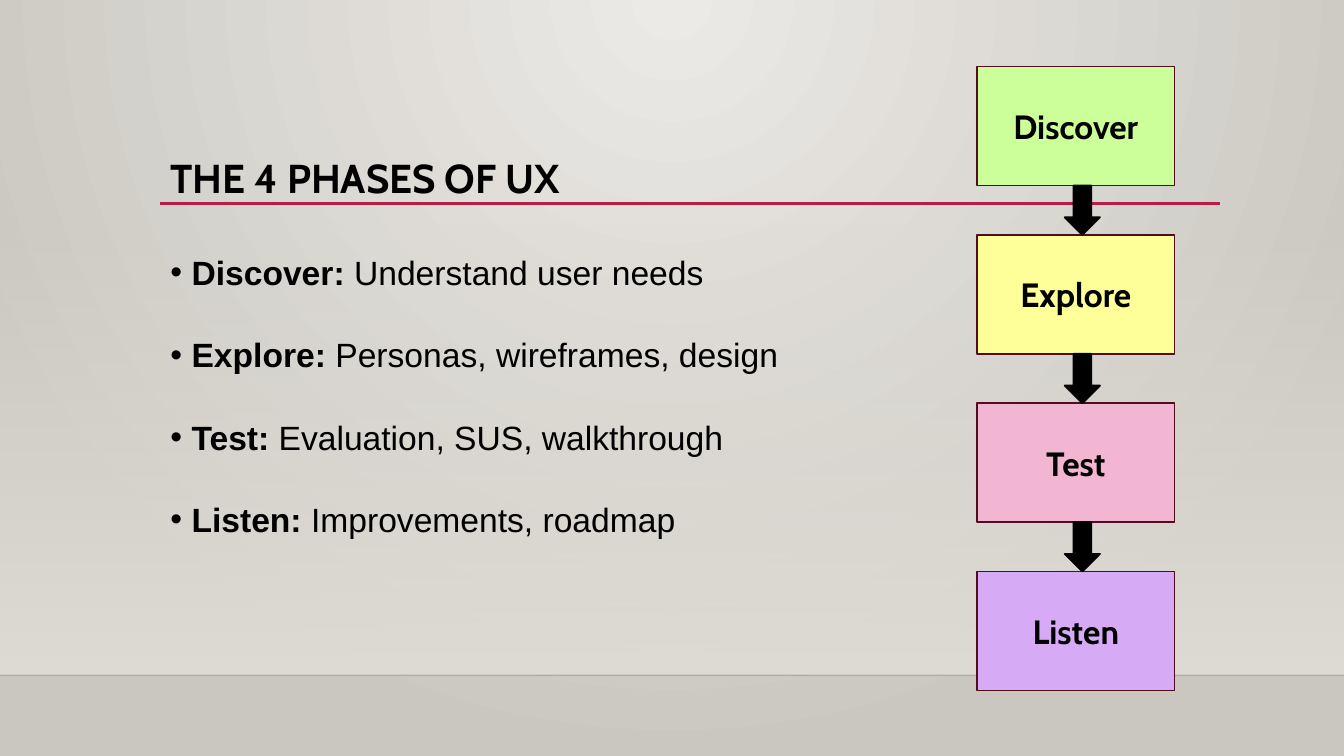
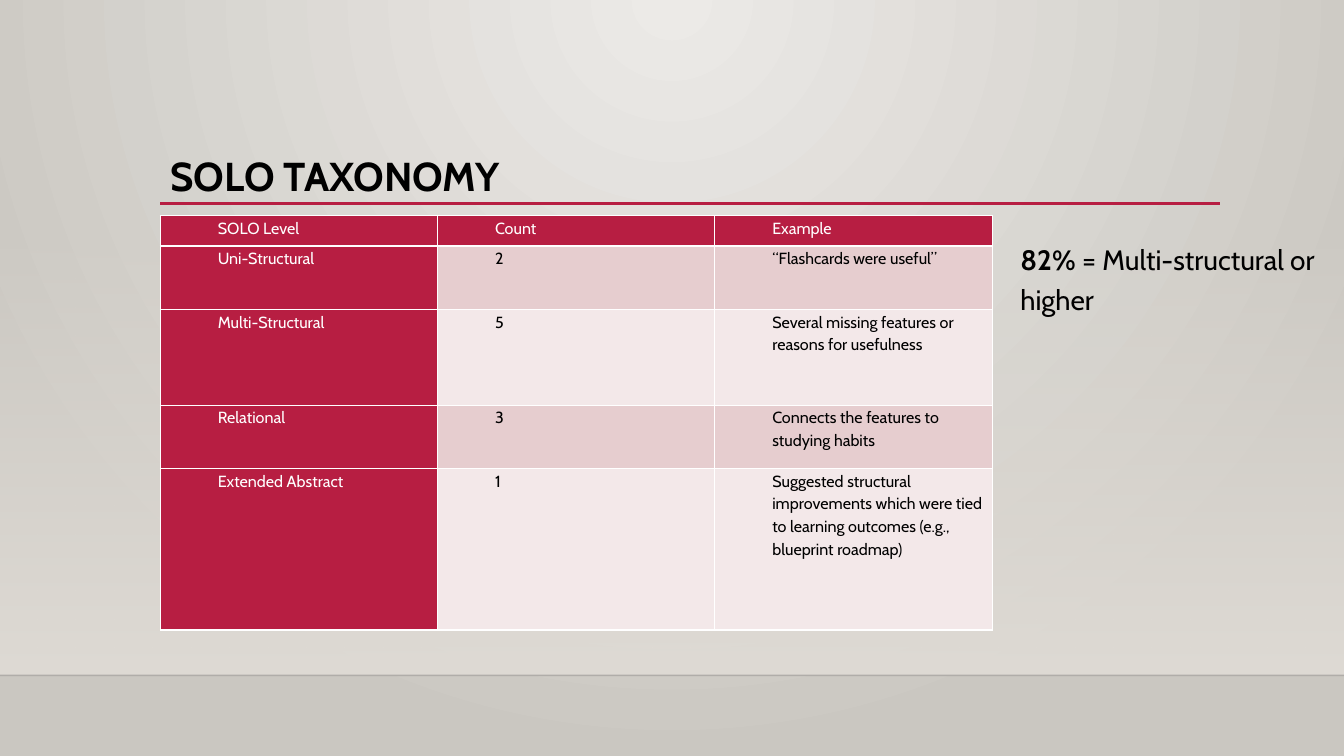
import pptx
import pptx.dml.color
import pptx.enum.shapes
import pptx.enum.text
import pptx.oxml
import pptx.oxml.ns
import pptx.util
from pptx.util import Inches, Pt

SHAPES = pptx.enum.shapes.MSO_SHAPE
ANCHOR = pptx.enum.text.MSO_ANCHOR
ALIGN = pptx.enum.text.PP_ALIGN

WIDTH, HEIGHT = 13.33, 7.5
LEFT = 1.59
FLOOR_TOP = 6.7
FONT = "Cabin"
BLACK, WHITE, CRIMSON, MAROON = "000000", "FFFFFF", "B71E42", "500D1D"
BACKDROP = ("ECEAE7", "CAC7C1")
WALL = "DFDBD5"
BANDS = ("E6CDCF", "F3E8E9")

PHASES = [
    ("Discover", "Understand user needs", "CCFF99"),
    ("Explore", "Personas, wireframes, design", "FFFF99"),
    ("Test", "Evaluation, SUS, walkthrough", "F2B5D2"),
    ("Listen", "Improvements, roadmap", "D7AAF6"),
]
BOX_LEFT, BOX_TOP, BOX_WIDTH, BOX_HEIGHT, BOX_PITCH = 9.69, 0.66, 1.96, 1.18, 1.67
ARROW_LEFT, ARROW_WIDTH = 10.56, 0.35

SOLO_LEVELS = [
    ("SOLO Level", "Count", "Example"),
    ("Uni-Structural", "2", "“Flashcards were useful”"),
    ("Multi-Structural", "5", "Several missing features or reasons for usefulness"),
    ("Relational", "3", "Connects the features to studying habits"),
    ("Extended Abstract", "1", "Suggested structural improvements which were tied "
     "to learning outcomes (e.g., blueprint roadmap)"),
]
ROW_HEIGHTS = (0.3, 0.63, 0.95, 0.63, 1.6)
COLUMN_WIDTH = 2.75


def rgb(value):
    return pptx.dml.color.RGBColor.from_string(value)


def add_xml(parent, tag, **attributes):
    child = pptx.oxml.parse_xml(f"<a:{tag} {pptx.oxml.ns.nsdecls('a')}/>")
    for name, value in attributes.items():
        child.set(name, str(value))
    parent.append(child)
    return child


def set_alpha(element, percent):
    """Make the first colour inside the element partly transparent."""
    color = next(element.iter(pptx.oxml.ns.qn("a:srgbClr")))
    add_xml(color, "alpha", val=percent * 1000)


def place(shape, left, top, width, height):
    shape.left, shape.top = Inches(left), Inches(top)
    shape.width, shape.height = Inches(width), Inches(height)


def add_run(paragraph, text, size, color=BLACK, bold=False, font=FONT):
    run = paragraph.add_run()
    run.text = text
    run.font.name, run.font.size, run.font.bold = font, Pt(size), bold
    run.font.color.rgb = rgb(color)


def set_indent(paragraph, left, first=0):
    properties = paragraph._p.get_or_add_pPr()
    properties.set("marL", str(Inches(left)))
    properties.set("indent", str(Inches(first)))
    return properties


def add_block(shapes, preset, bounds, fill, line):
    shape = shapes.add_shape(preset, *(Inches(value) for value in bounds))
    shape.shadow.inherit = False
    shape.fill.solid()
    shape.fill.fore_color.rgb = rgb(fill)
    shape.line.color.rgb = rgb(line)
    shape.line.width = Pt(1.25)
    return shape


def add_rule(shapes, left, right, top, color, width):
    rule = shapes.add_connector(pptx.enum.shapes.MSO_CONNECTOR.STRAIGHT,
                                Inches(left), Inches(top), Inches(right), Inches(top))
    rule.line.color.rgb = rgb(color)
    rule.line.width = Pt(width)
    add_xml(rule.element.spPr, "effectLst")
    return rule


def set_gradient(fill, colors):
    fill.gradient()
    for stop, color in zip(fill.gradient_stops, colors):
        stop.color.rgb = rgb(color)


def decorate_master(master, slide):
    """Draw the shared scenery on a slide, then move it to the master."""
    set_gradient(master.background.fill, BACKDROP)
    gradient = next(master.element.iter(pptx.oxml.ns.qn("a:gradFill")))
    gradient.remove(gradient.find(pptx.oxml.ns.qn("a:lin")))
    circle = add_xml(gradient, "path", path="circle")
    add_xml(circle, "fillToRect", l=43000, t=0, r=43000, b=100000)

    wall_top = 2.21
    wall = slide.shapes.add_shape(SHAPES.RECTANGLE, 0, Inches(wall_top),
                                  Inches(WIDTH), Inches(FLOOR_TOP - wall_top))
    wall.shadow.inherit = False
    wall.line.fill.background()
    set_gradient(wall.fill, (WALL, WALL))
    wall.fill.gradient_angle = 270
    set_alpha(wall.element, 0)

    floor_edge = add_rule(slide.shapes, 0, WIDTH, FLOOR_TOP, "000001", 1)
    set_alpha(floor_edge.element, 20)
    title_rule = add_rule(slide.shapes, LEFT, 12.1, 2.02, CRIMSON, 2.5)
    for number, shape in enumerate((wall, floor_edge, title_rule), start=101):
        shape.element.xpath(".//p:cNvPr")[0].set("id", str(number))
        master.shapes.element.append(shape.element)


def prepare_frame(shape, anchor):
    frame = shape.text_frame
    frame.word_wrap = True
    frame.auto_size = pptx.enum.text.MSO_AUTO_SIZE.NONE
    frame.vertical_anchor = anchor
    return frame


def set_title(slide, text, top, line_spacing):
    title = slide.shapes.title
    place(title, LEFT, top, 10.5, 0.49)
    paragraph = prepare_frame(title, ANCHOR.TOP).paragraphs[0]
    paragraph.alignment = ALIGN.LEFT
    paragraph.line_spacing = line_spacing
    add_run(paragraph, text, 28.8, bold=True)


def fill_phases(slide):
    set_title(slide, "THE 4 PHASES OF UX", 1.52, 0.9)
    body = slide.placeholders[1]
    place(body, LEFT, 2.46, 7.26, 2.93)
    frame = prepare_frame(body, ANCHOR.MIDDLE)
    group = slide.shapes.add_group_shape()
    for index, (name, description, color) in enumerate(PHASES):
        paragraph = frame.add_paragraph() if index else frame.paragraphs[0]
        paragraph.space_before = Pt(30 if index else 0)
        set_indent(paragraph, 0.21, -0.21)
        add_run(paragraph, f"{name}: ", 24, bold=True, font="Arial")
        add_run(paragraph, description, 24, font="Arial")

        top = BOX_TOP + index * BOX_PITCH
        box = add_block(group.shapes, SHAPES.RECTANGLE,
                        (BOX_LEFT, top, BOX_WIDTH, BOX_HEIGHT), color, MAROON)
        label = prepare_frame(box, ANCHOR.MIDDLE).paragraphs[0]
        label.alignment = ALIGN.CENTER
        add_run(label, name, 24, bold=True)
    for index in range(len(PHASES) - 1):
        top = BOX_TOP + BOX_HEIGHT + index * BOX_PITCH
        add_block(group.shapes, SHAPES.DOWN_ARROW,
                  (ARROW_LEFT, top, ARROW_WIDTH, BOX_PITCH - BOX_HEIGHT), BLACK, BLACK)


def format_cell(cell, text, fill, color, space_after):
    cell.margin_left = cell.margin_right = Inches(0.07)
    cell.margin_top = cell.margin_bottom = 0
    paragraph = cell.text_frame.paragraphs[0]
    paragraph.line_spacing = 1.15
    paragraph.space_after = Pt(space_after)
    set_indent(paragraph, 0.5)
    add_run(paragraph, text, 11.5, color)
    properties = cell._tc.get_or_add_tcPr()
    for side in ("lnL", "lnR", "lnT", "lnB"):
        border = add_xml(properties, side, w=Pt(1))
        add_xml(add_xml(border, "solidFill"), "srgbClr", val=WHITE)
    cell.fill.solid()
    cell.fill.fore_color.rgb = rgb(fill)


def fill_taxonomy(slide):
    set_title(slide, "SOLO TAXONOMY", 1.54, 0.8)
    body = slide.placeholders[1]
    place(body, 10.02, 2.29, 3.24, 2.12)
    paragraph = prepare_frame(body, ANCHOR.TOP).paragraphs[0]
    paragraph.line_spacing = 1.2
    paragraph.space_before = Pt(10)
    add_xml(set_indent(paragraph, 0), "buNone")
    add_run(paragraph, "82% ", 20, bold=True)
    add_run(paragraph, "= Multi-structural or higher", 20)

    columns = len(SOLO_LEVELS[0])
    table = slide.shapes.add_table(
        len(SOLO_LEVELS), columns, Inches(LEFT), Inches(2.14),
        Inches(columns * COLUMN_WIDTH), Inches(sum(ROW_HEIGHTS))).table
    for column in table.columns:
        column.width = Inches(COLUMN_WIDTH)
    for row, values in enumerate(SOLO_LEVELS):
        table.rows[row].height = Inches(ROW_HEIGHTS[row])
        for column, text in enumerate(values):
            heading = row == 0 or column == 0
            format_cell(table.cell(row, column), text,
                        CRIMSON if heading else BANDS[(row - 1) % 2],
                        WHITE if heading else BLACK,
                        8 if column == columns - 1 else 0)


def main():
    presentation = pptx.Presentation()
    presentation.slide_width = Inches(WIDTH)
    presentation.slide_height = Inches(HEIGHT)
    layout = presentation.slide_layouts.get_by_name("Title and Content")
    phases, taxonomy = (presentation.slides.add_slide(layout) for _ in range(2))
    decorate_master(presentation.slide_master, phases)
    fill_phases(phases)
    fill_taxonomy(taxonomy)
    presentation.save("out.pptx")


if __name__ == "__main__":
    main()
